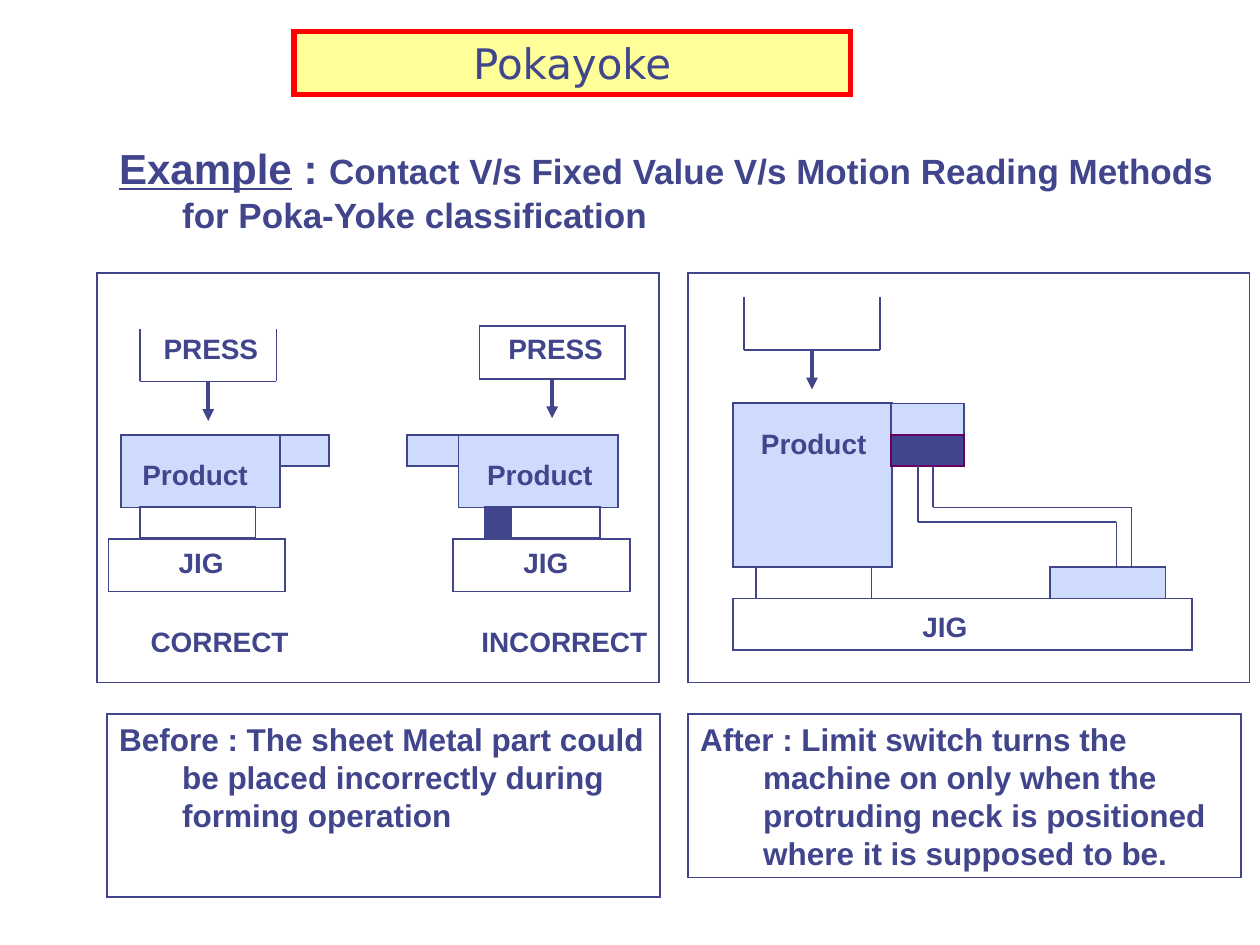
from lxml.etree import SubElement
from pptx import Presentation
from pptx.dml.color import RGBColor as Rgb
from pptx.enum.shapes import MSO_CONNECTOR as Conn, MSO_SHAPE as Kind
from pptx.enum.text import MSO_ANCHOR as Anchor, PP_ALIGN as Align
from pptx.oxml.ns import qn
from pptx.util import Pt

HUES = {
    "ink": "40458C",
    "part": "CFDBFD",
    "plum": "660066",
    "cream": "FFFF99",
    "red": "FF0000",
}
BODY = {"name": "Arial", "bold": True}
HEAD = {"name": "DejaVu Sans", "bold": False}
WIDTHS = {"PRESS": 69, "Product": 75, "JIG": 41, "CORRECT": 94, "INCORRECT": 111}
HANG = 36


def hue(name):
    return Rgb.from_string(HUES[name])


def box(slide, x, y, w, h, fill=None, line="ink", thick=1):
    shape = slide.shapes.add_shape(Kind.RECTANGLE, Pt(x), Pt(y), Pt(w), Pt(h))
    shape.shadow.inherit = False
    if fill:
        shape.fill.solid()
        shape.fill.fore_color.rgb = hue(fill)
    else:
        shape.fill.background()
    shape.line.color.rgb = hue(line)
    shape.line.width = Pt(thick)
    SubElement(shape.line._get_or_add_ln(), qn("a:miter"), lim="800000")
    return shape


def line(slide, x1, y1, x2, y2, thick=1):
    link = slide.shapes.add_connector(
        Conn.STRAIGHT, Pt(x1), Pt(y1), Pt(x2), Pt(y2))
    link.line.color.rgb = hue("ink")
    link.line.width = Pt(thick)
    SubElement(link._element.spPr, qn("a:effectLst"))
    return link


def arrow(slide, x, y):
    """Draw the downward stroke of a press."""
    link = line(slide, x, y, x, y + 22.5, 2.25)
    SubElement(link.line._get_or_add_ln(), qn("a:tailEnd"), type="triangle")
    return link


def write(shape, runs, align=Align.LEFT, wrap=True, hang=0, face=BODY):
    """Fill a shape with one paragraph of (text, size, underline) runs."""
    frame = shape.text_frame
    frame.word_wrap = wrap
    frame.vertical_anchor = Anchor.TOP
    para = frame.paragraphs[0]
    para.alignment = align
    if hang:
        props = para._p.get_or_add_pPr()
        props.set("marL", str(Pt(hang)))
        props.set("indent", str(Pt(-hang)))
    for text, size, under in runs:
        run = para.add_run()
        run.text = text
        look = {**face, "size": Pt(size), "underline": under}
        for key, value in look.items():
            setattr(run.font, key, value)
        run.font.color.rgb = hue("ink")


def label(slide, text, mid, y):
    """Place a short caption centred on mid."""
    w = WIDTHS[text]
    area = slide.shapes.add_textbox(Pt(mid - w / 2), Pt(y), Pt(w), Pt(26))
    write(area, [(text, 16, False)], Align.CENTER, wrap=False)


def note(slide, text, x, y, w, h):
    write(box(slide, x, y, w, h), [(text, 18, False)], hang=HANG)


def cup(slide, x, y, w=78, h=30):
    """Draw a press that is open at the top."""
    line(slide, x, y, x, y + h)
    line(slide, x + w, y, x + w, y + h)
    line(slide, x, y + h, x + w, y + h)
    arrow(slide, x + w / 2, y + h)


def station(slide, x, part, neck, verdict):
    """Draw product, jig and captions; part and neck are (offset, width)."""
    for dx, w, y, h, fill in (
        (*part, 248.5, 41.5, "part"),
        (*neck, 248.5, 18, "part"),
        (18, 66, 289.5, 18, None),
        (0, 101, 308, 30, None),
    ):
        box(slide, x + dx, y, w, h, fill)
    for text, dx, y in (
        ("PRESS", 58.5, 186),
        ("Product", 49.5, 258),
        ("JIG", 53, 308),
        (verdict, 63.5, 353.5),
    ):
        label(slide, text, x + dx, y)


def before(slide):
    box(slide, 55.5, 156, 321, 234)
    station(slide, 62, (7, 91), (98, 28), "CORRECT")
    cup(slide, 80, 188)
    station(slide, 259, (3, 91), (-26.5, 29.5), "INCORRECT")
    press = box(slide, 274, 186.5, 83, 30)
    arrow(slide, 315.5, 216.5).begin_connect(press, 2)
    box(slide, 277, 289.5, 15, 18, "ink")


def after(slide):
    box(slide, 393, 156, 321, 234)
    cup(slide, 425, 170)
    for x, y, w, h, fill, edge in (
        (600, 324, 66, 18, "part", "ink"),
        (432, 324, 66, 18, None, "ink"),
        (419, 230.5, 91, 93.5, "part", "ink"),
        (509, 230.5, 42, 18, "part", "ink"),
        (419, 342, 262, 29.5, None, "ink"),
        (509, 248.5, 42, 18, "ink", "plum"),
    ):
        box(slide, x, y, w, h, fill, edge)
    label(slide, "Product", 465, 240)
    label(slide, "JIG", 540, 345)
    for x1, x2, y in ((533, 646.5, 290), (524.5, 638, 298.5)):
        line(slide, x1, 266.5, x1, y)
        line(slide, x1, y, x2, y)
        line(slide, x2, y, x2, 324)


def main():
    deck = Presentation()
    deck.slide_width, deck.slide_height = Pt(720), Pt(540)
    slide = deck.slides.add_slide(deck.slide_layouts[6])

    title = box(slide, 168, 18, 318, 36, "cream", "red", 3)
    write(title, [("Pokayoke", 24, False)], Align.CENTER, face=HEAD)
    topic = slide.shapes.add_textbox(Pt(61), Pt(78), Pt(659), Pt(60))
    write(topic, [
        ("Example", 24, True),
        (" : ", 24, False),
        ("Contact V/s Fixed Value V/s Motion Reading Methods "
         "for Poka-Yoke classification", 20, False),
    ], hang=HANG)

    before(slide)
    after(slide)
    note(slide, "Before : The sheet Metal part could be placed incorrectly "
         "during forming operation", 61, 408, 316, 104.5)
    note(slide, "After : Limit switch turns the machine on only when the "
         "protruding neck is positioned where it is supposed to be.",
         393, 408, 316, 93.5)
    deck.save("out.pptx")


if __name__ == "__main__":
    main()
